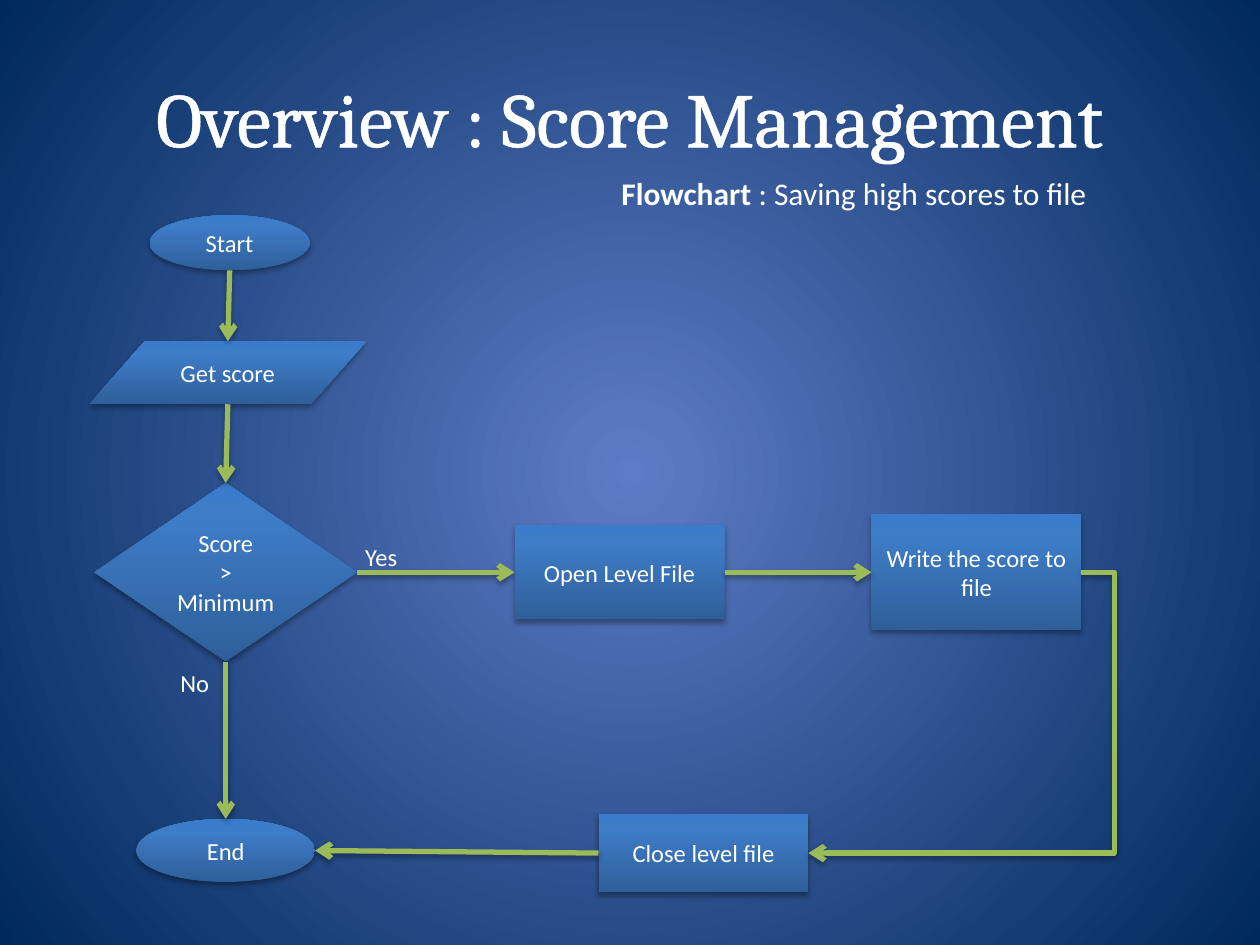
from lxml.etree import SubElement
from pptx import Presentation
from pptx.dml.color import RGBColor
from pptx.enum.shapes import MSO_CONNECTOR, MSO_SHAPE
from pptx.enum.text import MSO_ANCHOR, PP_ALIGN
from pptx.oxml import parse_xml
from pptx.oxml.ns import nsdecls, qn
from pptx.util import Inches, Pt

COLORS = {
    "text": "FFFFFF", "arrow": "9BBB59", "shadow": "000000",
    "center": "5E7CC5", "edge": "00295C",
    "bottom": "2F5F99", "middle": "3D7CC7", "top": "3A7CCB",
}
CELL = Inches(1) / 24  # the slide is 240 columns by 180 rows
RADIAL = ('<a:path path="circle"><a:fillToRect l="50000" t="50000" '
          'r="50000" b="50000"/></a:path>')
UPWARD = '<a:lin ang="16200000" scaled="0"/>'


def grid(*cells):
    return [round(cell * CELL) for cell in cells]


def gradient(stops, direction):
    stop_xml = "".join(
        f'<a:gs pos="{share * 1000}"><a:srgbClr val="{COLORS[name]}"/></a:gs>'
        for share, name in stops)
    return parse_xml(f'<a:gradFill {nsdecls("a")} rotWithShape="1">'
                     f'<a:gsLst>{stop_xml}</a:gsLst>{direction}</a:gradFill>')


def add_shadow(shape):
    properties = shape._element.spPr
    for effects in properties.findall(qn("a:effectLst")):
        properties.remove(effects)
    properties.append(parse_xml(
        f'<a:effectLst {nsdecls("a")}><a:outerShdw blurRad="40000" dist="23000" '
        f'dir="5400000" rotWithShape="0"><a:srgbClr val="{COLORS["shadow"]}">'
        '<a:alpha val="35000"/></a:srgbClr></a:outerShdw></a:effectLst>'))


def side(shape, name):
    """Return the middle point of one side of a shape."""
    across, down = {"left": (0, 0.5), "right": (1, 0.5),
                    "top": (0.5, 0), "bottom": (0.5, 1)}[name]
    return (round(shape.left + across * shape.width),
            round(shape.top + down * shape.height))


class Flowchart:
    font = {"name": "Calibri", "size": Pt(14), "bold": False}

    def __init__(self, presentation):
        self.slide = presentation.slides.add_slide(presentation.slide_layouts[6])

    def background(self):
        fill = self.slide.background.fill
        fill.solid()
        solid = self.slide._element.cSld.find(".//" + qn("a:solidFill"))
        solid.getparent().replace(
            solid, gradient([(0, "center"), (100, "edge")], RADIAL))

    def add_text(self, paragraph, text, **changes):
        run = paragraph.add_run()
        run.text = text
        for attribute, value in {**self.font, **changes}.items():
            setattr(run.font, attribute, value)
        run.font.color.rgb = RGBColor.from_string(COLORS["text"])

    def label(self, place, *runs):
        """Add a text box; each run is a text with its font changes."""
        box = self.slide.shapes.add_textbox(*grid(*place))
        box.text_frame.word_wrap = True
        for text, changes in runs:
            self.add_text(box.text_frame.paragraphs[0], text, **changes)
        return box

    def title(self, place, text):
        box = self.label(place, (text, {"name": "Cambria", "size": Pt(44)}))
        box.text_frame.vertical_anchor = MSO_ANCHOR.MIDDLE
        paragraph = box.text_frame.paragraphs[0]
        paragraph.alignment = PP_ALIGN.CENTER
        paragraph.runs[0]._r.get_or_add_rPr().insert(0, parse_xml(
            f'<a:ln {nsdecls("a")} w="{Pt(1.45)}"><a:solidFill>'
            f'<a:srgbClr val="{COLORS["text"]}"/></a:solidFill></a:ln>'))

    def step(self, kind, place, *lines):
        shape = self.slide.shapes.add_shape(kind, *grid(*place))
        shape.line.fill.background()
        shape._element.spPr.find(qn("a:prstGeom")).addnext(gradient(
            [(0, "bottom"), (80, "middle"), (100, "top")], UPWARD))
        add_shadow(shape)
        frame = shape.text_frame
        frame.word_wrap = True
        frame.vertical_anchor = MSO_ANCHOR.MIDDLE
        paragraph = frame.paragraphs[0]
        paragraph.alignment = PP_ALIGN.CENTER
        for number, line in enumerate(lines):
            if number:
                paragraph.add_line_break()
            self.add_text(paragraph, line)
        return shape

    def arrow(self, start, start_side, end, end_side, bend=None):
        """Join two sides; bend is the elbow's place as a share of the width."""
        kind = MSO_CONNECTOR.STRAIGHT if bend is None else MSO_CONNECTOR.ELBOW
        connector = self.slide.shapes.add_connector(
            kind, *side(start, start_side), *side(end, end_side))
        connector.line.width = Pt(3)
        connector.line.color.rgb = RGBColor.from_string(COLORS["arrow"])
        SubElement(connector.line._get_or_add_ln(), qn("a:tailEnd"), type="arrow")
        if bend is not None:
            adjustments = connector._element.spPr.find(".//" + qn("a:avLst"))
            SubElement(adjustments, qn("a:gd"), name="adj1",
                       fmla=f"val {round(bend * 100000)}")
        add_shadow(connector)


def main():
    presentation = Presentation()
    presentation.slide_width, presentation.slide_height = grid(240, 180)
    chart = Flowchart(presentation)
    chart.background()
    chart.title((12, 7.2, 216, 30), "Overview : Score Management")
    chart.label((116, 32, 116, 9.6),
                ("Flowchart", {"size": Pt(18), "bold": True}),
                (" : Saving high scores to file", {"size": Pt(18)}))

    terminal = MSO_SHAPE.FLOWCHART_CONNECTOR
    process = MSO_SHAPE.FLOWCHART_PROCESS
    start = chart.step(terminal, (28.5, 41, 30.5, 10.5), "Start")
    get_score = chart.step(MSO_SHAPE.FLOWCHART_DATA, (17, 65, 52.8, 12), "Get score")
    compare = chart.step(MSO_SHAPE.FLOWCHART_DECISION, (18, 92, 50, 34),
                         "Score", ">", "Minimum")
    open_file = chart.step(process, (98, 100, 40, 18), "Open Level File")
    write_score = chart.step(process, (166, 98, 40, 22), "Write the score to file")
    close_file = chart.step(process, (114, 155, 40, 15), "Close level file")
    end = chart.step(terminal, (26, 156, 34, 12), "End")

    for first, second in [(start, get_score), (get_score, compare), (compare, end)]:
        chart.arrow(first, "bottom", second, "top")
    for first, second in [(compare, open_file), (open_file, write_score)]:
        chart.arrow(first, "right", second, "left")
    chart.arrow(write_score, "right", close_file, "right", bend=-0.12)
    chart.arrow(close_file, "left", end, "right")

    chart.label((67.2, 102, 12.8, 8), ("Yes", {}))
    chart.label((32, 126, 12.8, 8), ("No", {}))
    presentation.save("out.pptx")


if __name__ == "__main__":
    main()
